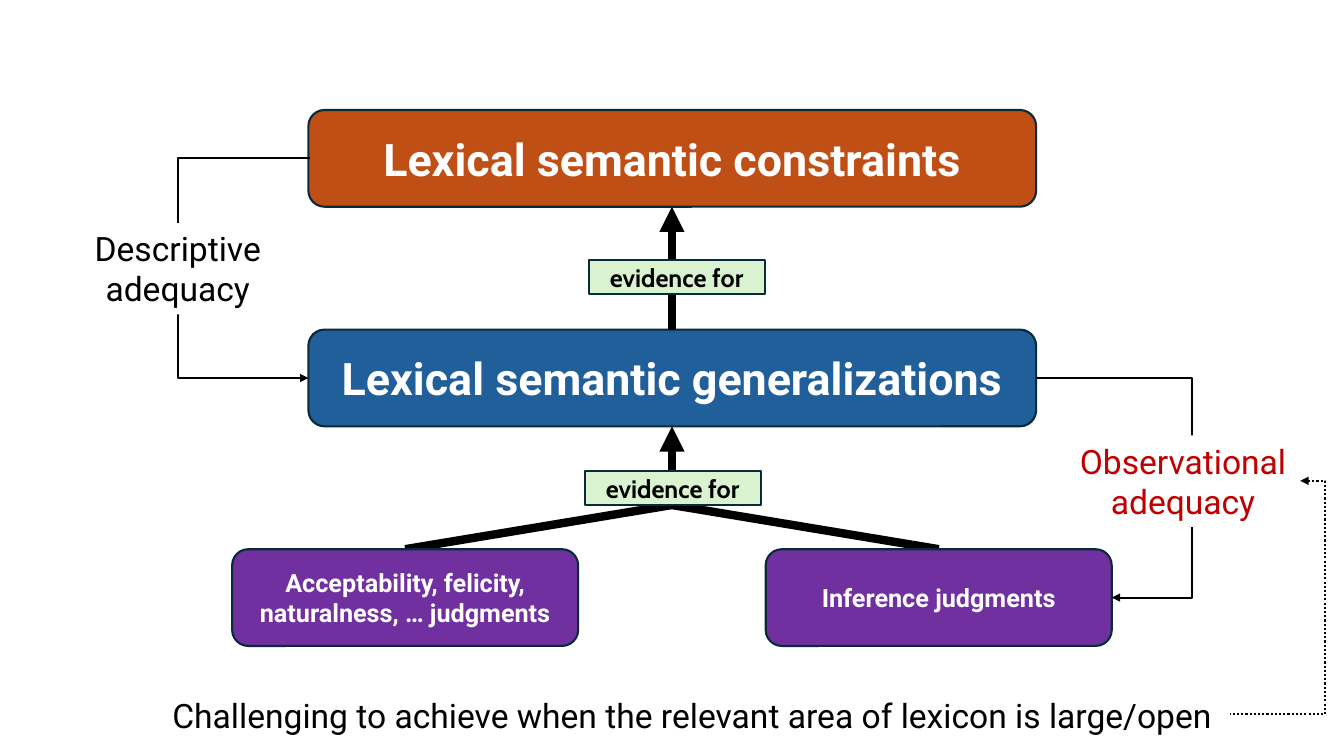
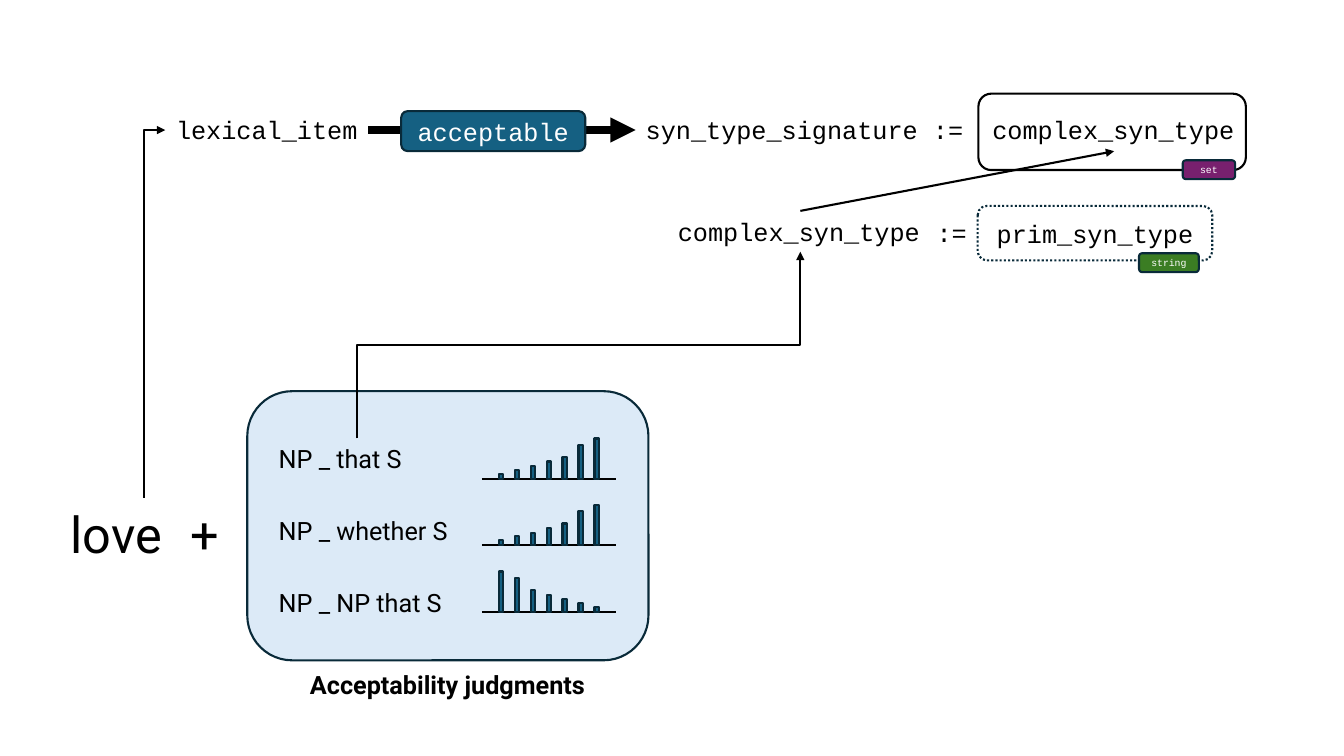
import lxml.etree
import pptx
import pptx.dml.color
import pptx.enum.dml
import pptx.enum.shapes
import pptx.enum.text
import pptx.oxml.ns
import pptx.util

presentation = pptx.Presentation()
presentation.slide_width = pptx.util.Inches(13.333)
presentation.slide_height = pptx.util.Inches(7.5)
# The grid has 100 columns and 100 rows; all lengths below are in these units.
COLUMN = presentation.slide_width / 100
ROW = presentation.slide_height / 100

ROUNDED = pptx.enum.shapes.MSO_SHAPE.ROUNDED_RECTANGLE
RECTANGLE = pptx.enum.shapes.MSO_SHAPE.RECTANGLE
DOTTED = pptx.enum.dml.MSO_LINE.ROUND_DOT
ALIGN = pptx.enum.text.PP_ALIGN
ANCHOR = pptx.enum.text.MSO_ANCHOR
BLACK, WHITE, OUTLINE = "000000", "FFFFFF", "092A39"
ORANGE, BLUE, PURPLE, GREEN, RED = "C04F15", "215F9A", "7030A0", "D9F2D0", "C00000"
TEAL, PANEL, PLUM, LEAF = "156082", "DCEAF7", "78206E", "3B7D23"
THIN, THICK = 1.5, 6
color = pptx.dml.color.RGBColor.from_string


def add_box(slide, text, left, top, width, height, kind=None, fill=None, outline=None,
            dash=None, align=ALIGN.CENTER, ink=BLACK, size=18, name="Roboto", bold=False):
    """Add a preset shape, or a text box when no kind is given."""
    place = [int(left * COLUMN), int(top * ROW), int(width * COLUMN), int(height * ROW)]
    if kind is None:
        shape = slide.shapes.add_textbox(*place)
    else:
        shape = slide.shapes.add_shape(kind, *place)
        shape.shadow.inherit = False
    if fill:
        shape.fill.solid()
        shape.fill.fore_color.rgb = color(fill)
    else:
        shape.fill.background()
    if outline:
        shape.line.color.rgb = color(outline)
        shape.line.width = pptx.util.Pt(THIN)
        if dash:
            shape.line.dash_style = dash
    else:
        shape.line.fill.background()
    if text:
        frame = shape.text_frame
        frame.word_wrap = True
        frame.vertical_anchor = ANCHOR.TOP if kind is None else ANCHOR.MIDDLE
        paragraph = frame.paragraphs[0]
        paragraph.text = text
        paragraph.alignment = align
        font_format = {"size": pptx.util.Pt(size), "name": name, "bold": bold}
        for attribute, value in font_format.items():
            setattr(paragraph.font, attribute, value)
        paragraph.font.color.rgb = color(ink)


def add_line(slide, begin, end, weight=THIN, arrow=None, bend=None, upright=False, dash=None):
    """Join two grid points; bend is the column of an elbow's middle part.

    An upright elbow leaves vertically and turns halfway. The arrow is at
    "headEnd" (begin) or "tailEnd" (end).
    """
    begin_x, begin_y, end_x, end_y = (
        begin[0] * COLUMN, begin[1] * ROW, end[0] * COLUMN, end[1] * ROW)
    if upright:  # the frame is a quarter turn back, about the same centre
        center_x, center_y = (begin_x + end_x) / 2, (begin_y + end_y) / 2
        across, down = begin_y - center_y, center_x - begin_x
        begin_x, begin_y = center_x + across, center_y + down
        end_x, end_y = center_x - across, center_y - down
    elbow = upright or bend is not None
    types = pptx.enum.shapes.MSO_CONNECTOR
    connector = slide.shapes.add_connector(
        types.ELBOW if elbow else types.STRAIGHT,
        int(begin_x), int(begin_y), int(end_x), int(end_y))
    connector.line.color.rgb = color(BLACK)
    connector.line.width = pptx.util.Pt(weight)
    if dash:
        connector.line.dash_style = dash
    qualify = pptx.oxml.ns.qn
    properties = connector.element.spPr
    if upright:
        properties.find(qualify("a:xfrm")).set("rot", str(90 * 60000))
    if bend is not None:
        share = (bend - begin[0]) / (end[0] - begin[0])
        geometry = properties.find(qualify("a:prstGeom"))
        guides = geometry.find(qualify("a:avLst"))
        if guides is None:
            guides = lxml.etree.SubElement(geometry, qualify("a:avLst"))
        lxml.etree.SubElement(guides, qualify("a:gd"), name="adj1",
                              fmla=f"val {round(share * 100000)}")
    if arrow:
        outline = properties.find(qualify("a:ln"))
        lxml.etree.SubElement(outline, qualify("a:" + arrow), type="triangle")
    lxml.etree.SubElement(properties, qualify("a:effectLst"))


blank = presentation.slide_layouts[6]

# Slide 1: constraints, generalizations and judgments on three levels
slide = presentation.slides.add_slide(blank)
level_height = 12.8
constraints, generalizations, judgments = [14.55 + 29.05 * level for level in range(3)]
middles = [top + level_height / 2 for top in (constraints, generalizations, judgments)]
wide_left, wide_width = 22.95, 54.15
small_width, small_offset = 25.75, 19.85
label_size = 13.1, 4.5
lower_label = 62.3

for text, top, fill in [("Lexical semantic constraints", constraints, ORANGE),
                        ("Lexical semantic generalizations", generalizations, BLUE)]:
    add_box(slide, text, wide_left, top, wide_width, level_height, ROUNDED, fill, OUTLINE,
            ink=WHITE, size=32, bold=True)

add_line(slide, (50, generalizations), (50, constraints + level_height), THICK, "tailEnd")
add_line(slide, (50, lower_label), (50, generalizations + level_height), THICK, "tailEnd")
for text, center in [("Acceptability, felicity, naturalness, … judgments", 50 - small_offset),
                     ("Inference judgments", 50 + small_offset)]:
    add_line(slide, (center, judgments), (50, lower_label + label_size[1]), THICK)
    add_box(slide, text, center - small_width / 2, judgments, small_width, level_height,
            ROUNDED, PURPLE, OUTLINE, ink=WHITE, bold=True)
for left, top in [(43.8, 34.4), (43.5, lower_label)]:
    add_box(slide, "evidence for", left, top, *label_size, RECTANGLE, GREEN, OUTLINE,
            name="Cabin", bold=True)

add_line(slide, (wide_left + 0.15, middles[0]), (wide_left, middles[1]),
         arrow="tailEnd", bend=13.3)
add_line(slide, (wide_left + wide_width, middles[1]),
         (50 + small_offset + small_width / 2, middles[2]), arrow="tailEnd", bend=88.7)
for text, left, top, ink in [("Descriptive adequacy", 4.5, 29.5, BLACK),
                             ("Observational adequacy", 79.3, 57.6, RED)]:
    add_box(slide, text, left, top, 17.45, 12.1, fill=WHITE, ink=ink, size=24)
add_box(slide, "Challenging to achieve when the relevant area of lexicon is large/open",
        4.5, 91.2, 86.4, 6.7, fill=WHITE, align=ALIGN.RIGHT, size=24)
add_line(slide, (96.75, 63.6), (91.5, 94.5), arrow="headEnd", bend=98.6, dash=DOTTED)

# Slide 2: from judgments on "love" to a type signature
slide = presentation.slides.add_slide(blank)
line_height = 5.3
for text, left, width in [("love", 3.7, 9.9), ("+", 11.4, 7.7)]:
    add_box(slide, text, left, 65.85, width, 9.5, size=36)

add_box(slide, None, 18.4, 51.75, 29.85, 35.6, ROUNDED, PANEL, OUTLINE)
add_box(slide, "Acceptability judgments", 20.5, 87.9, 25.6, line_height, bold=True)
rising = [0.7, 1.2, 1.7, 2.3, 2.9, 4.5, 5.35]
ratings = [("NP _ that S", rising), ("NP _ whether S", rising), ("NP _ NP that S", rising[::-1])]
for row, (text, bars) in enumerate(ratings):
    add_box(slide, text, 20, 58 + 9.5 * row, 15.5, line_height, align=ALIGN.LEFT)
    baseline = 63.35 + 8.8 * row
    add_line(slide, (35.85, baseline), (45.8, baseline))
    for position, height in enumerate(bars):
        add_box(slide, None, 37.1 + 1.19 * position, baseline - height, 0.36, height,
                RECTANGLE, TEAL, OUTLINE)

code = {"name": "Courier New"}
signature_top, definition_top = 14.5, 27.9
arrow_row = 17.2
add_box(slide, "lexical_item", 12.3, signature_top, 15.1, line_height, **code)
add_line(slide, (12.3, arrow_row), (10.7, 65.9), arrow="headEnd", bend=10.7)
add_line(slide, (27.4, arrow_row), (47.3, arrow_row), THICK, "tailEnd")
add_box(slide, "acceptable", 29.85, 14.7, 13.7, line_height, ROUNDED, TEAL, OUTLINE,
        ink=WHITE, **code)

add_box(slide, None, 72.8, 12.4, 19.9, 10.1, ROUNDED, outline=BLACK)
add_box(slide, "prim_syn_type", 72.75, 27.25, 17.45, 7.2, ROUNDED, WHITE, OUTLINE, DOTTED, **code)
for text, left, top, width in [("syn_type_signature :=", 47.3, signature_top, 26),
                               ("complex_syn_type", 73.1, signature_top, 20.5),
                               ("complex_syn_type", 49.7, definition_top, 20.5),
                               (":=", 68.95, definition_top + 0.2, 4)]:
    add_box(slide, text, left, top, width, line_height, align=ALIGN.LEFT, **code)
for text, left, top, width, fill in [("set", 88, 21.2, 3.9, PLUM),
                                     ("string", 84.75, 33.5, 4.45, LEAF)]:
    add_box(slide, text, left, top, width, 2.5, ROUNDED, fill, OUTLINE, ink=WHITE, size=7, **code)
add_line(slide, (26.55, 58), (59.55, 33.3), arrow="tailEnd", upright=True)
add_line(slide, (59.55, definition_top), (82.9, 20), arrow="tailEnd")

presentation.save("out.pptx")
